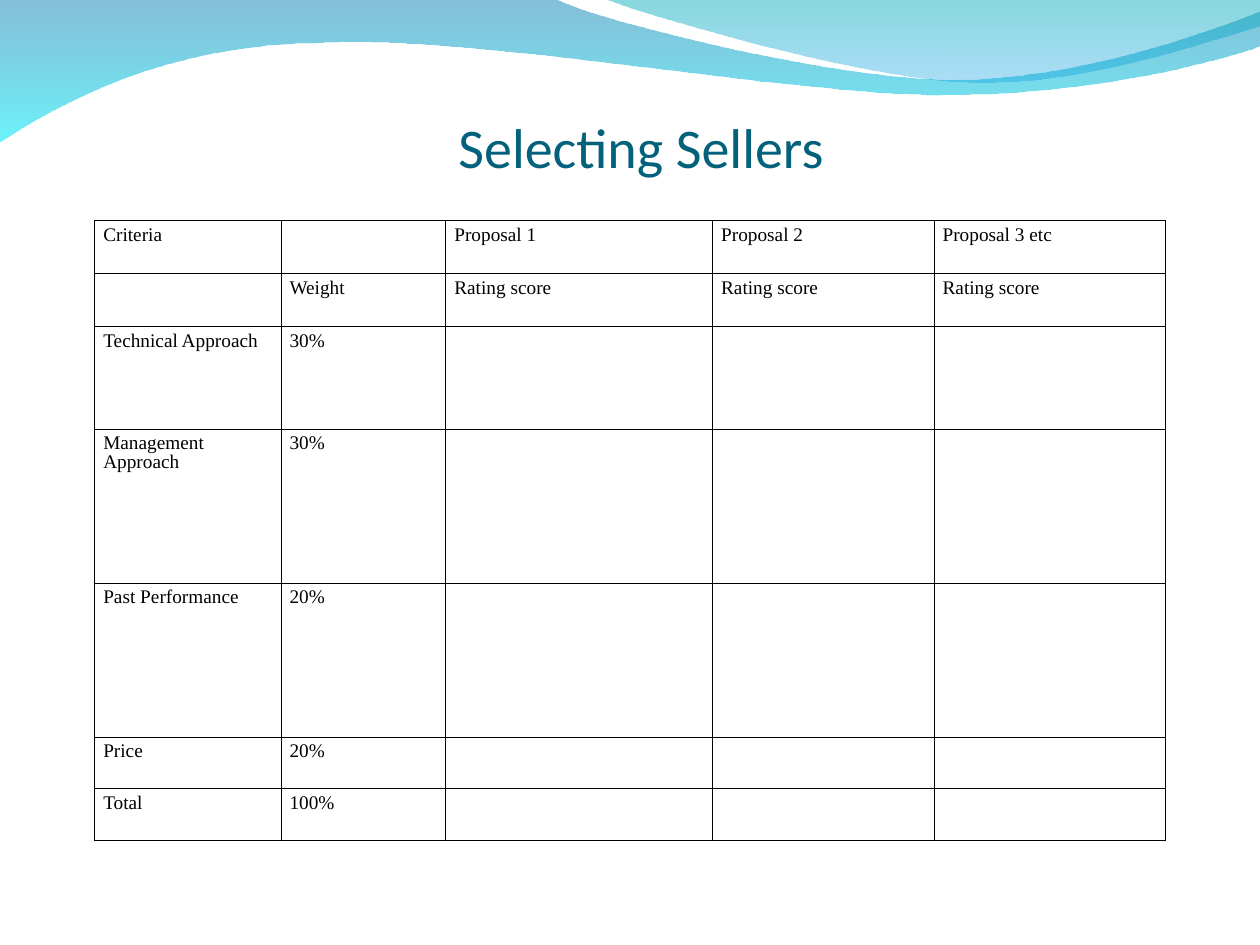
from lxml import etree
from pptx import Presentation
from pptx.dml.color import RGBColor
from pptx.enum.text import MSO_ANCHOR, MSO_AUTO_SIZE, PP_ALIGN
from pptx.oxml.ns import qn
from pptx.util import Inches, Pt

BOTTOM, NO_FIT, CENTER = MSO_ANCHOR.BOTTOM, MSO_AUTO_SIZE.NONE, PP_ALIGN.CENTER
TITLE_ONLY = 5
COLORS = {
    "title": "04617B", "ink": "000000",
    "wave_top": "0079AF", "wave_bottom": "00EBF8",
    "crest_top": "00ADB6", "crest_bottom": "009BE5",
}


def add_run(paragraph, text, size, font, color):
    run = paragraph.add_run()
    run.text = text
    run.font.size = Pt(size)
    run.font.name = font
    run.font.color.rgb = RGBColor.from_string(COLORS[color])


def bend_segments(freeform, steps):
    """Turn the three lines of each three-point step into one Bezier curve."""
    lines = iter(list(freeform._element.iter(qn("a:lnTo"))))
    for step in steps:
        first, *others = [next(lines) for point in step]
        if others:
            first.tag = qn("a:cubicBezTo")
            for line in others:
                first.append(line[0])
                line.getparent().remove(line)


prs = Presentation()
prs.slide_width, prs.slide_height = Inches(10), Inches(7.5)
slide = prs.slides.add_slide(prs.slide_layouts[TITLE_ONLY])

# Waves across the top: a straight step is one point, a curve is three
waves = [
    ([(0, -0.01), [(4.4, -0.01)],
      [(4.76, 0.17), (6.64, 0.63), (7.58, 0.63)],
      [(8.53, 0.63), (9.58, 0.26), (10, 0.09)],
      [(10.01, 0.36)],
      [(9.83, 0.44), (8.7, 0.76), (7.46, 0.75)],
      [(6.22, 0.75), (3.82, 0.28), (2.57, 0.34)],
      [(1.29, 0.35), (0.46, 0.83), (-0.01, 1.13)]],
     [("wave_top", 48), ("wave_bottom", 58)]),
    ([(4.79, -0.01),
      [(5.09, 0.11), (6.82, 0.62), (7.69, 0.65)],
      [(8.56, 0.69), (9.61, 0.32), (10, 0.21)],
      [(10, 0)]],
     [("crest_top", 48), ("crest_bottom", 33)]),
]
for (start, *steps), shades in waves:
    builder = slide.shapes.build_freeform(Inches(start[0]), Inches(start[1]))
    builder.add_line_segments(
        [(Inches(x), Inches(y)) for step in steps for x, y in step], close=True)
    wave = builder.convert_to_shape()
    bend_segments(wave, steps)
    wave.shadow.inherit = False
    wave.line.fill.background()
    wave.fill.gradient()
    wave.fill.gradient_angle = 270
    for stop, (color, opacity) in zip(wave.fill.gradient_stops, shades):
        stop.color.rgb = RGBColor.from_string(COLORS[color])
    color_nodes = list(wave._element.spPr.iter(qn("a:srgbClr")))
    for color_node, (color, opacity) in zip(color_nodes, shades):
        etree.SubElement(color_node, qn("a:alpha"), val=str(opacity * 1000))

# Title, brought in front of the waves
title = slide.shapes.title
slide.shapes._spTree.append(title._element)
title.left, title.top = Inches(0.58), Inches(0.25)
title.width, title.height = Inches(9.02), Inches(1.18)
heading = title.text_frame
heading.auto_size = NO_FIT
heading.word_wrap = True
heading.vertical_anchor = BOTTOM
heading.margin_left = heading.margin_right = heading.margin_bottom = 0
heading.margin_top = Inches(0.05)
heading.paragraphs[0].alignment = CENTER
add_run(heading.paragraphs[0], "Selecting Sellers", 32, "Calibri", "title")

# Scoring grid: columns and rows share out its full size
grid_width, grid_height = Inches(8.5), Inches(4.92)
column_shares = [1.48, 1.31, 2.12, 1.76, 1.84]
row_shares = [0.42, 0.42, 0.81, 1.22, 1.22, 0.41, 0.41]
scoring = [
    ["Criteria", "", "Proposal 1", "Proposal 2", "Proposal 3 etc"],
    ["", "Weight"] + ["Rating score"] * 3,
    ["Technical Approach", "30%"],
    ["Management Approach", "30%"],
    ["Past Performance", "20%"],
    ["Price", "20%"],
    ["Total", "100%"],
]
grid = slide.shapes.add_table(
    len(row_shares), len(column_shares), Inches(0.75), Inches(1.75),
    grid_width, grid_height).table
grid.first_row = grid.horz_banding = False
for column, share in zip(grid.columns, column_shares):
    column.width = int(grid_width * share / sum(column_shares))
for row, share in zip(grid.rows, row_shares):
    row.height = int(grid_height * share / sum(row_shares))

for cell in grid.iter_cells():
    cell.fill.background()
    cell.margin_left = cell.margin_right = Inches(0.07)
    cell.margin_top = cell.margin_bottom = Inches(0.05)
    properties = cell._tc.get_or_add_tcPr()
    for position, side in enumerate(("a:lnL", "a:lnR", "a:lnT", "a:lnB")):
        border = etree.Element(qn(side), w=str(Pt(0.06)))
        paint = etree.SubElement(border, qn("a:solidFill"))
        etree.SubElement(paint, qn("a:srgbClr"), val=COLORS["ink"])
        properties.insert(position, border)

for row_index, labels in enumerate(scoring):
    for column_index, label in enumerate(labels):
        if label:
            paragraph = grid.cell(row_index, column_index).text_frame.paragraphs[0]
            paragraph.line_spacing = 0.86
            paragraph.space_after = Pt(10)
            add_run(paragraph, label, 11, "Times New Roman", "ink")

prs.save("out.pptx")
